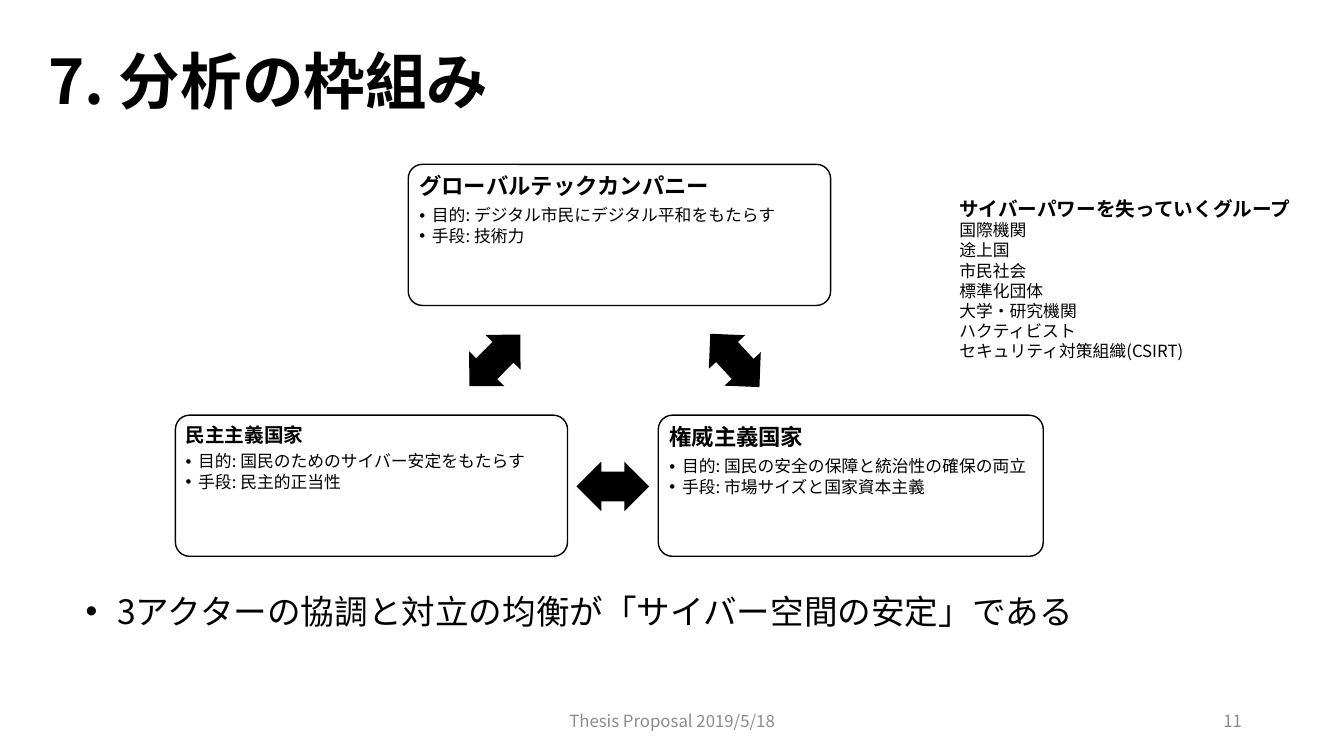
import pptx
import pptx.dml.color
import pptx.enum.shapes
import pptx.enum.text
import pptx.oxml.ns
import pptx.util
from lxml import etree

Pt = pptx.util.Pt
ALIGN = pptx.enum.text.PP_ALIGN
ANCHOR = pptx.enum.text.MSO_ANCHOR
SHAPE = pptx.enum.shapes.MSO_SHAPE

FONT = "Noto Sans CJK JP"
COLORS = {"ink": "000000", "paper": "FFFFFF", "footer": "8C8C8C"}
ACTOR_HEIGHT = 100.8
ARROW_WIDTH, ARROW_HEIGHT = 51.8, 35.3

# left, top, width, inset, heading size, heading, bullets
ACTORS = [
    (291.6, 117.4, 301.7, 5, 16, "グローバルテックカンパニー",
     ["目的: デジタル市民にデジタル平和をもたらす", "手段: 技術力"]),
    (470.2, 296.6, 275, 5, 16, "権威主義国家",
     ["目的: 国民の安全の保障と統治性の確保の両立", "手段: 市場サイズと国家資本主義"]),
    (125.3, 296.6, 280.1, 4.3, 14, "民主主義国家",
     ["目的: 国民のためのサイバー安定をもたらす", "手段: 民主的正当性"]),
]
# left, top, rotation
ARROWS = [(499, 239.8, 47.3), (411.8, 329.8, 180), (327.6, 239.8, 314.7)]
LOSING_GROUPS = ["国際機関", "途上国", "市民社会", "標準化団体",
                 "大学・研究機関\vハクティビスト", "セキュリティ対策組織(CSIRT)"]


def color(name):
    return pptx.dml.color.RGBColor.from_string(COLORS[name])


def place(shape, left, top, width, height):
    shape.left, shape.top = Pt(left), Pt(top)
    shape.width, shape.height = Pt(width), Pt(height)


def format_paragraph(paragraph, size, bold=False, ink="ink", align=ALIGN.LEFT,
                     line_spacing=1.0, space_after=0):
    paragraph.alignment = align
    paragraph.line_spacing = line_spacing
    paragraph.space_before = Pt(0)
    paragraph.space_after = Pt(space_after)
    for run in paragraph.runs:
        run.font.size = Pt(size)
        run.font.bold = bold
        run.font.name = FONT
        run.font.color.rgb = color(ink)
        east_asian = etree.SubElement(run.font._element, pptx.oxml.ns.qn("a:ea"))
        east_asian.set("typeface", FONT)


def add_bullet(paragraph, indent):
    properties = paragraph._p.get_or_add_pPr()
    properties.set("marL", str(Pt(indent)))
    properties.set("indent", str(-Pt(indent)))
    font = etree.SubElement(properties, pptx.oxml.ns.qn("a:buFont"))
    font.set("typeface", "Arial")
    bullet = etree.SubElement(properties, pptx.oxml.ns.qn("a:buChar"))
    bullet.set("char", "•")


def add_plain_shape(slide, kind, box, fill, line=None):
    shape = slide.shapes.add_shape(kind, *map(Pt, box))
    shape.shadow.inherit = False
    shape.fill.solid()
    shape.fill.fore_color.rgb = color(fill)
    if line:
        shape.line.color.rgb = color(line)
        shape.line.width = Pt(1)
    else:
        shape.line.fill.background()
    return shape


def set_lines(shape, lines):
    """Fill the shape with one paragraph per line, from its top, and return them."""
    frame = shape.text_frame
    frame.word_wrap = True
    frame.vertical_anchor = ANCHOR.TOP
    frame.text = lines[0]
    for line in lines[1:]:
        frame.add_paragraph().text = line
    return frame.paragraphs


def add_actor(slide, left, top, width, inset, heading_size, heading, bullets):
    card = add_plain_shape(slide, SHAPE.ROUNDED_RECTANGLE,
                           (left, top, width, ACTOR_HEIGHT), "paper", "ink")
    card.adjustments[0] = 0.1
    frame = card.text_frame
    frame.margin_left = frame.margin_right = Pt(inset)
    frame.margin_top = frame.margin_bottom = Pt(inset)
    first, *rest = set_lines(card, [heading, *bullets])
    format_paragraph(first, heading_size, bold=True, line_spacing=0.9,
                     space_after=0.35 * heading_size)
    for paragraph in rest:
        format_paragraph(paragraph, 12, line_spacing=0.9, space_after=1.8)
        add_bullet(paragraph, 9)


def add_arrow(slide, left, top, rotation):
    arrow = add_plain_shape(slide, SHAPE.LEFT_RIGHT_ARROW,
                            (left, top, ARROW_WIDTH, ARROW_HEIGHT), "ink")
    arrow.adjustments[0] = 0.6
    arrow.adjustments[1] = 0.5
    arrow.rotation = rotation


def add_losing_groups(slide):
    panel = add_plain_shape(slide, SHAPE.RECTANGLE, (678.2, 136.8, 270.7, 126), "paper")
    first, *rest = set_lines(panel, ["サイバーパワーを失っていくグループ", *LOSING_GROUPS])
    format_paragraph(first, 14, bold=True)
    for paragraph in rest:
        format_paragraph(paragraph, 12)


def add_footer(slide, left, width, text, align):
    box = slide.shapes.add_textbox(Pt(left), Pt(500.4), Pt(width), Pt(28.8))
    paragraph = set_lines(box, [text])[0]
    box.text_frame.vertical_anchor = ANCHOR.MIDDLE
    format_paragraph(paragraph, 12, ink="footer", align=align)


def fill_placeholder(placeholder, box, text, anchor, **style):
    place(placeholder, *box)
    paragraph = set_lines(placeholder, [text])[0]
    placeholder.text_frame.auto_size = pptx.enum.text.MSO_AUTO_SIZE.NONE
    placeholder.text_frame.vertical_anchor = anchor
    format_paragraph(paragraph, **style)
    return paragraph


def main():
    presentation = pptx.Presentation()
    presentation.slide_width, presentation.slide_height = Pt(960), Pt(540)
    slide = presentation.slides.add_slide(presentation.slide_layouts[1])

    fill_placeholder(slide.shapes.title, (27.4, 30.2, 828, 59.8), "7. 分析の枠組み",
                     ANCHOR.MIDDLE, size=44, bold=True, line_spacing=0.9)
    for actor in ACTORS:
        add_actor(slide, *actor)
    for arrow in ARROWS:
        add_arrow(slide, *arrow)
    add_losing_groups(slide)
    conclusion = fill_placeholder(
        slide.placeholders[1], (54, 418.3, 840.2, 36),
        "3アクターの協調と対立の均衡が「サイバー空間の安定」である", ANCHOR.TOP, size=24)
    add_bullet(conclusion, 22.5)
    add_footer(slide, 678.2, 216, "11", ALIGN.RIGHT)
    add_footer(slide, 318.2, 324, "Thesis Proposal 2019/5/18", ALIGN.CENTER)

    presentation.save("out.pptx")


if __name__ == "__main__":
    main()
